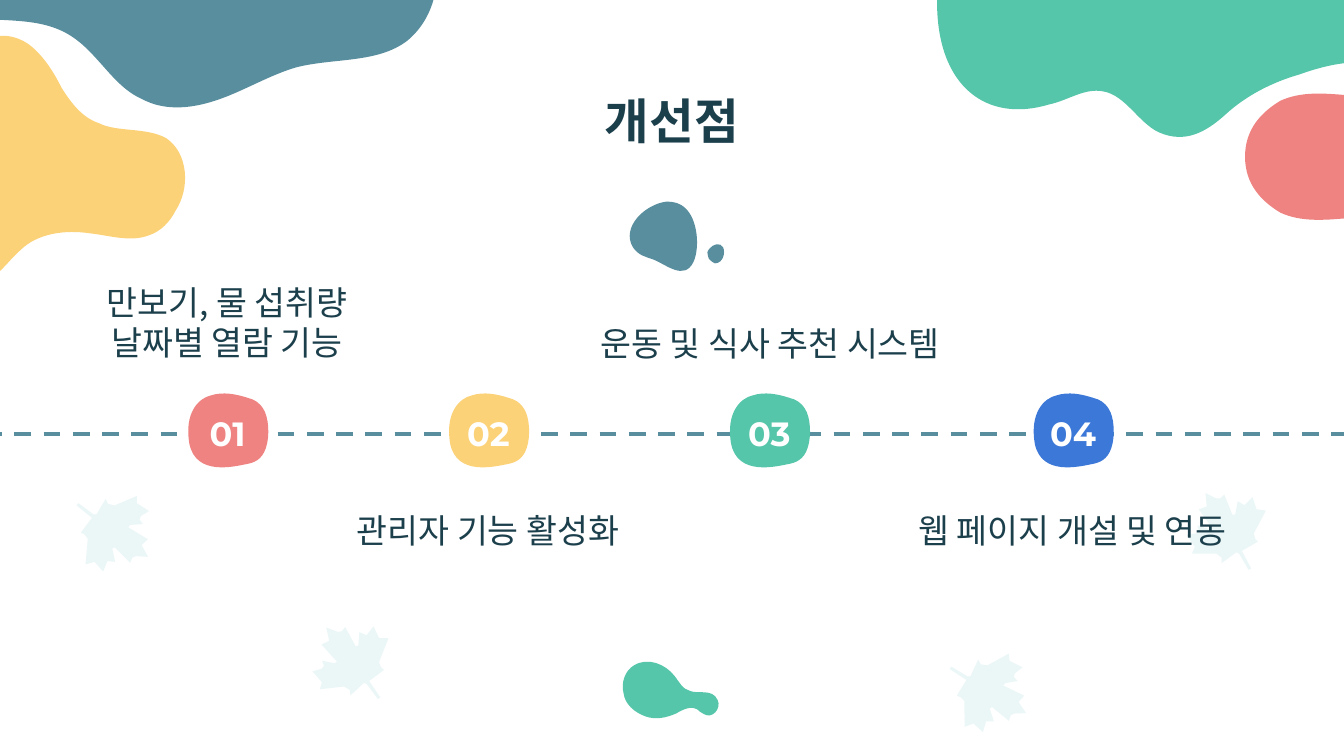
from dataclasses import dataclass
from math import cos, radians, sin

from lxml.etree import SubElement
from pptx import Presentation
from pptx.dml.color import RGBColor
from pptx.enum.dml import MSO_LINE
from pptx.enum.shapes import MSO_CONNECTOR
from pptx.enum.text import MSO_ANCHOR, PP_ALIGN
from pptx.oxml.ns import qn
from pptx.util import Pt

Point = tuple[float, float]

COLORS = {
    "green": "56C6AA", "yellow": "FCD279", "teal": "588E9E", "coral": "EE8381",
    "blue": "3C78D8", "leaf": "CBE7EA", "ink": "1C3F4C", "white": "FFFFFF",
}
KOREAN, LATIN = "Noto Sans CJK KR", "Montserrat"
FRAME_FORMAT = {
    "word_wrap": True, "vertical_anchor": MSO_ANCHOR.MIDDLE,
    "margin_left": Pt(14.4), "margin_right": Pt(14.4),
    "margin_top": Pt(7.2), "margin_bottom": Pt(7.2),
}
TIMELINE_Y = 232.4

# Curved outlines: a start point, then two control points and an end per curve.
CORNER = [
    (-143, 0), (-143, 46), (-116, 65), (-83, 55), (-73, 53), (-64, 46), (-54, 48),
    (-42, 50), (-35, 65), (-24, 70), (-10, 76), (1, 70), (12, 60),
    (23, 50), (37, 43), (51, 39), (62, 35), (77, 31), (89, 33),
    (101, 34), (113, 35), (124, 30), (134, 24), (143, 15), (143, 0),
    (143, -15), (134, -24), (124, -30), (113, -35), (101, -34), (89, -33),
    (77, -31), (66, -29), (54, -33), (40, -36), (29, -49), (17, -59),
    (6, -68), (-10, -76), (-24, -69), (-35, -64), (-42, -50), (-54, -48),
    (-64, -46), (-73, -53), (-83, -55), (-116, -64), (-143, -46), (-143, 0),
]
LEFT_WAVE = [
    (-8, 22), (-1, 17), (10, 19), (17, 25), (24, 31), (29, 39), (33, 47),
    (38, 55), (44, 63), (53, 66), (63, 71), (78, 68), (89, 74),
    (101, 82), (102, 101), (94, 113), (91, 119), (86, 124), (80, 126),
    (70, 130), (58, 126), (48, 125), (35, 123), (20, 125), (11, 134),
    (4, 140), (-1, 149), (-10, 151),
]
TOP_WAVE = [
    (-17, 9), (1, 12), (20, 9), (36, 18), (52, 27), (60, 46), (76, 53),
    (89, 60), (104, 58), (118, 53), (132, 48), (145, 40), (159, 36),
    (179, 31), (202, 34), (218, 22), (234, 9), (238, -14), (230, -32),
    (222, -50), (203, -61), (184, -63), (172, -66), (160, -63), (148, -62),
    (120, -58), (94, -55), (66, -51), (50, -49), (34, -47), (18, -48),
    (-1, -49), (-19, -54), (-37, -55), (-53, -55), (-83, -45), (-70, -24),
    (-60, -9), (-35, 6), (-17, 9),
]
BADGE = [
    (11.2, -19.1), (14, -18.4), (16.9, -16.9), (19.1, -13.3), (22, -9), (22.7, 1.1),
    (20.5, 7.6), (18.4, 14), (14, 15.5), (10.4, 16.2), (3.2, 17.6), (-16.9, 22.7),
    (-20.5, 5.4), (-23.4, -11.2), (-15.5, -19.1), (-9, -20.5), (-2.5, -22.7),
    (4.7, -21.2), (11.2, -19.1),
]
DRIP = [
    (369.4, 370.1), (365.8, 369.4), (363.6, 365), (361.4, 362.2), (356.4, 355.7),
    (347, 352.1), (339.8, 356.4), (334.8, 359.3), (332.6, 365.8), (334.1, 371.5),
    (334.8, 377.3), (339.8, 381.6), (345.6, 383.8), (351.4, 385.9), (357.1, 384.5),
    (362.2, 382.3), (365.8, 380.2), (370.1, 378), (373.7, 380.2), (374.4, 380.9),
    (375.1, 381.6), (376.6, 382.3), (381.6, 385.9), (386.6, 379.4), (384.5, 375.1),
    (381.6, 368.6), (373.7, 372.2), (369.4, 370.1),
]
PEBBLE = [
    (357.1, 108), (345.6, 109.4), (332.6, 121.7), (339.1, 132.5), (342, 136.8),
    (345.6, 137.5), (349.9, 139), (357.1, 141.8), (366.5, 150.5), (371.5, 140.4),
    (375.1, 132.5), (373.7, 117.4), (367.2, 111.6), (364.3, 108.7), (360.7, 108),
    (357.1, 108),
]
SMALL_PEBBLE = [
    (383, 141.1), (387.4, 141.1), (388.8, 135.4), (387.4, 132.5), (385.9, 129.6),
    (381.6, 131), (380.2, 133.2), (378.7, 134.6), (378.7, 136.1), (379.4, 137.5),
    (379.4, 139), (381.6, 140.4), (383, 141.1),
]
# Straight-edged outline around its own centre.
LEAF = [
    (-11.9, -20.2), (-11.2, -13), (-15.5, -11.5), (-8.3, -1.4),
    (-9.7, -0.7), (-16.2, -2.9), (-15.5, 0), (-16.9, 1.4), (-22, 2.2), (-17.6, 8.6),
    (-19.1, 12.2), (-6.1, 12.2), (-3.2, 14.4), (-3.2, 17.3), (4.7, 11.5), (6.1, 12.2),
    (11.2, 20.9), (12.6, 20.2), (7.6, 10.8), (16.2, 5.8), (14.8, 4.3), (14, 1.4),
    (20.5, -10.8), (15.5, -11.5), (13.3, -18), (9, -13.7), (5.4, -15.8),
    (4, -8.6), (2.5, -8.6), (-1.8, -19.4), (-4, -17.3), (-6.1, -17.3),
]


@dataclass
class Blob:
    outline: list[Point]
    color: str
    x: float = 0
    y: float = 0
    angle: float = 0
    opacity: int = 100
    curved: bool = True


@dataclass
class Label:
    text: str
    x: float  # centre
    y: float  # centre
    width: float
    height: float
    size: float = 18
    font: str = KOREAN
    color: str = "ink"
    bold: bool = False


def rgb(name: str) -> RGBColor:
    return RGBColor.from_string(COLORS[name])


def bend(sp) -> None:
    """Turn every three line segments of a freeform into one cubic curve."""
    track = next(sp._element.iter(qn("a:path")))
    segments = track.findall(qn("a:lnTo"))
    for i in range(0, len(segments), 3):
        curve = SubElement(track, qn("a:cubicBezTo"))
        segments[i].addprevious(curve)
        for segment in segments[i:i + 3]:
            curve.append(segment[0])
            track.remove(segment)


def draw_blob(s, blob: Blob) -> None:
    c, d = cos(radians(blob.angle)), sin(radians(blob.angle))
    points = [(Pt(blob.x + x * c - y * d), Pt(blob.y + x * d + y * c))
              for x, y in blob.outline]
    builder = s.shapes.build_freeform(*points[0])
    builder.add_line_segments(points[1:], close=True)
    sp = builder.convert_to_shape()
    if blob.curved:
        bend(sp)
    sp.shadow.inherit = False
    sp.line.fill.background()
    sp.fill.solid()
    sp.fill.fore_color.rgb = rgb(blob.color)
    if blob.opacity < 100:
        color = sp._element.spPr.find(qn("a:solidFill"))[0]
        SubElement(color, qn("a:alpha"), val=str(blob.opacity * 1000))


def draw_label(s, label: Label) -> None:
    sp = s.shapes.add_textbox(Pt(label.x - label.width / 2), Pt(label.y - label.height / 2),
                              Pt(label.width), Pt(label.height))
    tf = sp.text_frame
    for name, value in FRAME_FORMAT.items():
        setattr(tf, name, value)
    p = tf.paragraphs[0]
    p.alignment = PP_ALIGN.CENTER
    r = p.add_run()
    r.text = label.text
    for name, value in {"name": label.font, "size": Pt(label.size), "bold": label.bold}.items():
        setattr(r.font, name, value)
    r.font.color.rgb = rgb(label.color)
    SubElement(r._r.get_or_add_rPr(), qn("a:ea"), typeface=label.font)


def draw_timeline(s) -> None:
    line = s.shapes.add_connector(MSO_CONNECTOR.STRAIGHT, Pt(-8), Pt(TIMELINE_Y),
                                  Pt(730), Pt(TIMELINE_Y))
    line.line.color.rgb = rgb("teal")
    line.line.width = Pt(2.25)
    line.line.dash_style = MSO_LINE.DASH
    SubElement(line._element.spPr, qn("a:effectLst"))


def main() -> None:
    prs = Presentation()
    prs.slide_width, prs.slide_height = Pt(720), Pt(405)
    s = prs.slides.add_slide(prs.slide_layouts[6])

    leaves = [(657.7, 284.4, 0), (60.5, 284.4, 157), (529.6, 370.1, 151.2), (189, 355, -6.5)]
    blobs = [Blob(CORNER, "green", 645, 1), Blob(LEFT_WAVE, "yellow"),
             Blob(TOP_WAVE, "teal"), Blob(CORNER, "coral", 810, 84, 180)]
    blobs += [Blob(LEAF, "leaf", *place, opacity=37, curved=False) for place in leaves]
    blobs += [Blob(DRIP, "green"), Blob(PEBBLE, "teal"), Blob(SMALL_PEBBLE, "teal")]
    for blob in blobs:
        draw_blob(s, blob)

    draw_timeline(s)
    badges = [(122, "coral"), (261.7, "yellow"), (412.2, "green"), (574.9, "blue")]
    for number, (x, color) in enumerate(badges, 1):
        draw_blob(s, Blob(BADGE, color, x, TIMELINE_Y))
        draw_label(s, Label(f"{number:02}", x, 232.2, 69.1, 25.2,
                            font=LATIN, color="white", bold=True))

    for label in (
        Label("개선점", 360, 64.4, 153.4, 43.9, size=26, bold=True),
        Label("만보기, 물 섭취량 날짜별 열람 기능", 121.7, 172.4, 201.6, 29.5),
        Label("관리자 기능 활성화", 261.4, 284, 201.6, 29.5),
        Label("운동 및 식사 추천 시스템", 412.6, 184, 231.8, 29.5),
        Label("웹 페이지 개설 및 연동", 574.6, 284, 201.6, 29.5),
    ):
        draw_label(s, label)
    prs.save("out.pptx")


if __name__ == "__main__":
    main()
